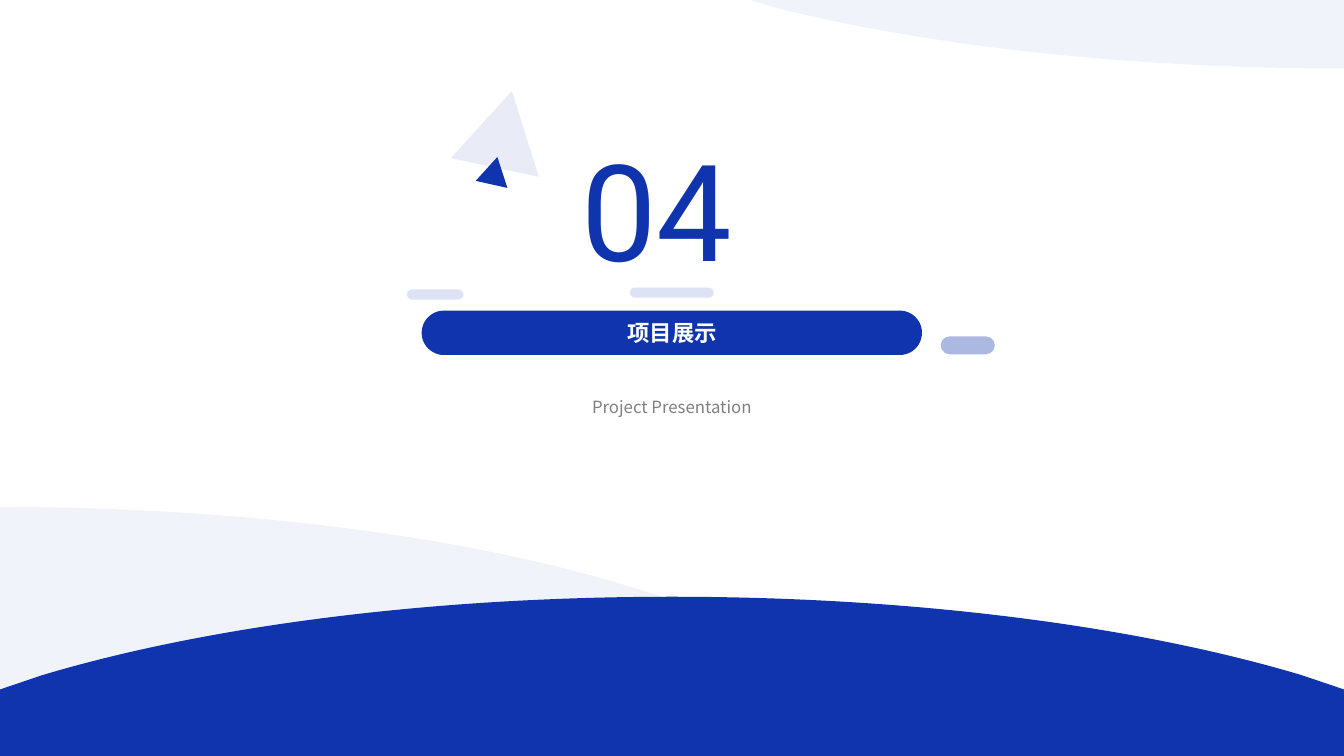
"""Build the section slide for chapter 04, the project presentation."""
from dataclasses import dataclass
from typing import Any

import lxml.etree
import pptx
import pptx.dml.color
import pptx.enum.shapes
import pptx.enum.text
import pptx.oxml.ns
import pptx.util

Pt = pptx.util.Pt
RGBColor = pptx.dml.color.RGBColor
Kind = pptx.enum.shapes.MSO_SHAPE
Align = pptx.enum.text.PP_ALIGN
qn = pptx.oxml.ns.qn
Point = tuple[float, float]

WIDTH, HEIGHT = 960, 540
BLUE = RGBColor(0x0F, 0x34, 0xAE)
PALE_BLUE = RGBColor(0xDD, 0xE2, 0xF4)
GRAY = RGBColor(0x80, 0x80, 0x80)
WHITE = RGBColor(0xFF, 0xFF, 0xFF)
CJK_FONT = "Noto Sans CJK JP"


@dataclass(frozen=True)
class Wave:
    outline: tuple[Point, ...]
    curve_starts: tuple[int, ...] = (0,)
    opacity: int = 100


@dataclass(frozen=True)
class Figure:
    kind: Any
    box: tuple[float, float, float, float]
    color: RGBColor = BLUE
    opacity: int = 100
    rotation: float = 0


@dataclass(frozen=True)
class Label:
    text: str
    box: tuple[float, float, float, float]
    size: int
    font: str
    color: RGBColor
    bold: bool = False
    align: Any = Align.CENTER
    wrap: bool = True
    line_spacing: float = 1.0


DOME_RIGHT = ((480, 426.24), (655.92, 426.24), (815.04, 447.84), (930.24, 482.4),
              (WIDTH, 492.48), (WIDTH, HEIGHT))
DOME_LEFT = tuple((WIDTH - x, y) for x, y in reversed(DOME_RIGHT))
WAVES = [
    Wave(((0, 362.16), (175.68, 362.16), (334.8, 383.76), (450, 419.04),
          (480, 428.4), (480, HEIGHT), (0, HEIGHT)), opacity=6),
    Wave(((WIDTH, 48.96), (806.4, 48.96), (665.28, 33.12), (555.12, 5.76),
          (535.68, 0), (WIDTH, 0)), opacity=6),
    Wave(DOME_RIGHT + DOME_LEFT, curve_starts=(0, 8)),
]
TRIANGLES = [
    Figure(Kind.ISOSCELES_TRIANGLE, (331.92, 79.92, 64.8, 55.44), opacity=9, rotation=132.3),
    Figure(Kind.ISOSCELES_TRIANGLE, (343.44, 117.36, 23.04, 20.16), rotation=132.3),
]
PILLS = [
    Figure(Kind.ROUNDED_RECTANGLE, (301.2, 221.9, 357.4, 31.7)),
    Figure(Kind.ROUNDED_RECTANGLE, (450, 205.4, 59.8, 7.2), PALE_BLUE),
    Figure(Kind.ROUNDED_RECTANGLE, (671.9, 240.3, 38.7, 12.8), opacity=35),
    Figure(Kind.ROUNDED_RECTANGLE, (290.7, 206.8, 40.3, 7.2), PALE_BLUE),
]
TITLE = Label("项目展示", (440.64, 224.64, 79.2, 26.64), 16, CJK_FONT, WHITE, bold=True, wrap=False)
NUMBER = Label("04", (408.24, 87.12, 145.44, 123.84), 96, "Roboto", BLUE,
               align=Align.LEFT, wrap=False)
SUBTITLE = Label("Project Presentation", (194.8, 272.88, 570.24, 26.64), 12, CJK_FONT, GRAY,
                 line_spacing=1.5)


def paint(shape: Any, color: RGBColor, opacity: int) -> None:
    shape.shadow.inherit = False
    shape.line.fill.background()
    shape.fill.solid()
    shape.fill.fore_color.rgb = color
    if opacity < 100:
        color_element = shape.element.spPr.find(f"{qn('a:solidFill')}/{qn('a:srgbClr')}")
        lxml.etree.SubElement(color_element, qn("a:alpha"), val=str(opacity * 1000))


def bend(shape: Any, curve_starts: tuple[int, ...]) -> None:
    lines = shape.element.findall(f".//{qn('a:lnTo')}")
    for start in curve_starts:
        segments = lines[start:start + 3]
        curve = lxml.etree.Element(qn("a:cubicBezTo"))
        segments[0].addprevious(curve)
        for segment in segments:
            curve.append(segment[0])
            segment.getparent().remove(segment)


def draw_wave(shapes: Any, wave: Wave) -> None:
    points = [(Pt(x), Pt(y)) for x, y in wave.outline]
    builder = shapes.build_freeform(*points[0])
    builder.add_line_segments(points[1:], close=True)
    shape = builder.convert_to_shape()
    bend(shape, wave.curve_starts)
    paint(shape, BLUE, wave.opacity)


def draw_figure(shapes: Any, figure: Figure) -> None:
    shape = shapes.add_shape(figure.kind, *map(Pt, figure.box))
    shape.rotation = figure.rotation
    if figure.kind == Kind.ROUNDED_RECTANGLE:
        shape.adjustments[0] = 0.5
    paint(shape, figure.color, figure.opacity)


def write_label(shape: Any, label: Label) -> None:
    shape.left, shape.top, shape.width, shape.height = map(Pt, label.box)
    frame = shape.text_frame
    frame.text = label.text
    frame.word_wrap = label.wrap
    frame.auto_size = pptx.enum.text.MSO_AUTO_SIZE.SHAPE_TO_FIT_TEXT
    frame.vertical_anchor = pptx.enum.text.MSO_ANCHOR.TOP
    paragraph = frame.paragraphs[0]
    paragraph.alignment = label.align
    paragraph.line_spacing = label.line_spacing
    font = paragraph.font
    font.size = Pt(label.size)
    font.bold = label.bold
    font.color.rgb = label.color
    font.name = label.font
    properties = shape.element.find(f".//{qn('a:defRPr')}")
    properties.set("kern", "0")
    lxml.etree.SubElement(properties, qn("a:ea"), typeface=label.font)


def main() -> None:
    presentation = pptx.Presentation()
    presentation.slide_width, presentation.slide_height = Pt(WIDTH), Pt(HEIGHT)
    slide = presentation.slides.add_slide(presentation.slide_layouts[5])
    shapes = slide.shapes
    for wave in WAVES:
        draw_wave(shapes, wave)
    triangle_group = shapes.add_group_shape()
    for triangle in TRIANGLES:
        draw_figure(triangle_group.shapes, triangle)
    for pill in PILLS:
        draw_figure(shapes, pill)
    title = shapes.title
    write_label(title, TITLE)
    title.element.getparent().append(title.element)
    for label in (NUMBER, SUBTITLE):
        write_label(shapes.add_textbox(*map(Pt, label.box)), label)
    presentation.save("out.pptx")


if __name__ == "__main__":
    main()
